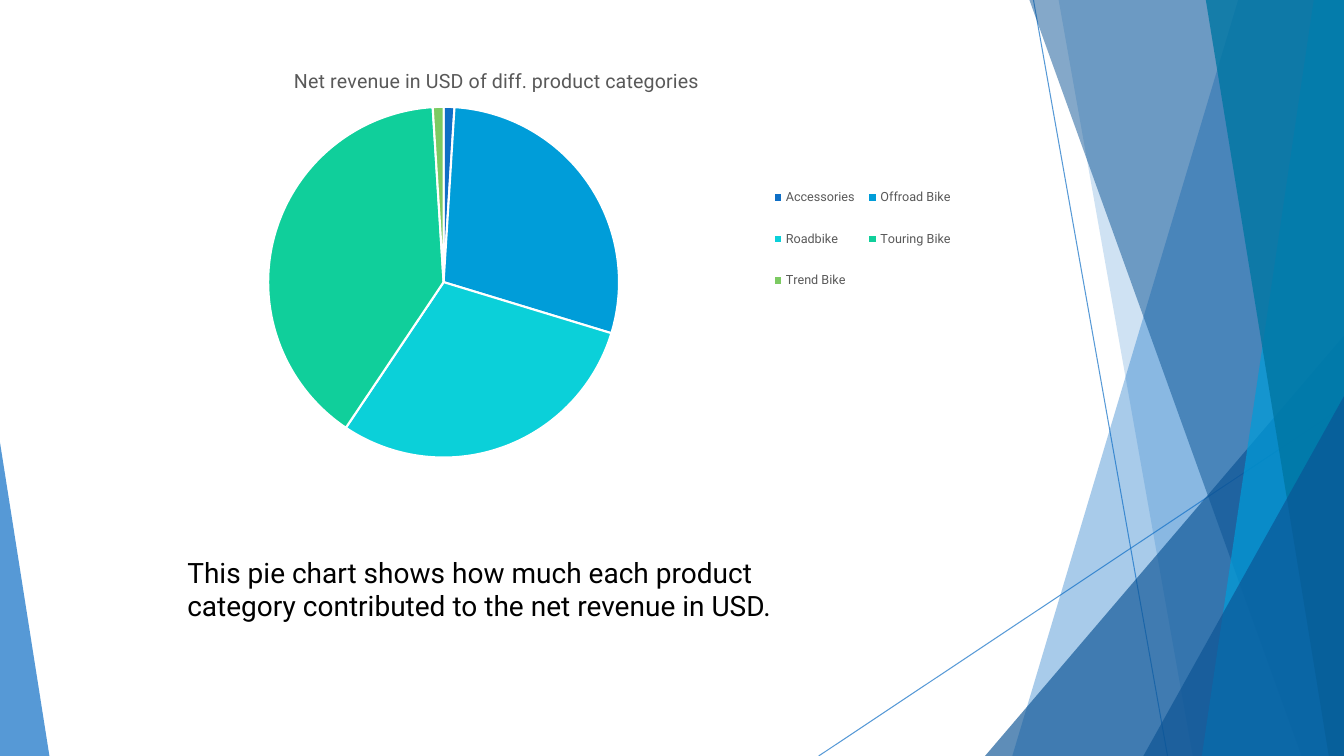
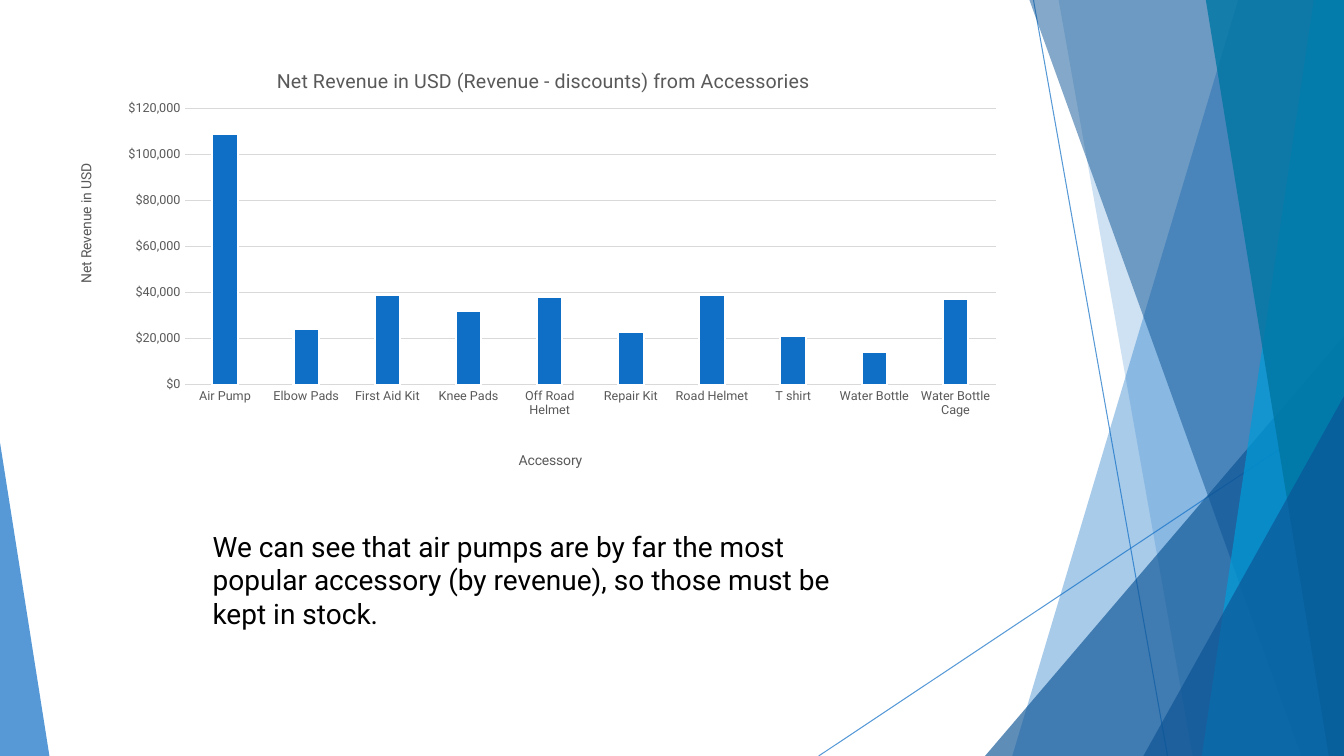
from dataclasses import dataclass

from lxml.etree import SubElement
from pptx import Presentation
from pptx.chart.data import CategoryChartData
from pptx.dml.color import RGBColor
from pptx.enum.chart import XL_CHART_TYPE, XL_LEGEND_POSITION, XL_TICK_MARK
from pptx.enum.shapes import MSO_CONNECTOR, MSO_SHAPE
from pptx.enum.text import MSO_AUTO_SIZE
from pptx.oxml import parse_xml
from pptx.oxml.ns import nsdecls, qn
from pptx.util import Inches, Pt


@dataclass(frozen=True)
class Theme:
    """Colours, font and type sizes of the deck."""

    font: str = "Roboto"
    blue: RGBColor = RGBColor.from_string("0F6FC6")
    navy: RGBColor = RGBColor.from_string("0B5394")
    sky: RGBColor = RGBColor.from_string("009DD9")
    teal: RGBColor = RGBColor.from_string("0076A3")
    cyan: RGBColor = RGBColor.from_string("0BD0D9")
    green: RGBColor = RGBColor.from_string("10CF9B")
    lime: RGBColor = RGBColor.from_string("7CCA62")
    white: RGBColor = RGBColor.from_string("FFFFFF")
    black: RGBColor = RGBColor.from_string("000000")
    gray: RGBColor = RGBColor.from_string("595959")
    grid: RGBColor = RGBColor.from_string("D9D9D9")
    body: Pt = Pt(20)
    heading: Pt = Pt(14)
    axis: Pt = Pt(10)
    label: Pt = Pt(9)
    border: Pt = Pt(1.5)
    hairline: Pt = Pt(0.75)


THEME = Theme()
WIDTH, HEIGHT = 13.33, 7.5


def set_font(font, size, color):
    """Apply the deck font at a size and colour."""
    font.name, font.size, font.bold = THEME.font, size, False
    font.color.rgb = color


def set_opacity(shape, percent):
    """Make the shape's explicit colour partly transparent."""
    for color in shape.element.iter(qn("a:srgbClr")):
        SubElement(color, qn("a:alpha")).set("val", str(percent * 1000))


def finish_facet(shape, color, opacity):
    """Fill a facet without outline or shadow."""
    shape.shadow.inherit = False
    shape.fill.solid()
    shape.fill.fore_color.rgb = color
    shape.line.fill.background()
    set_opacity(shape, opacity)


def add_ray(shapes, start, end):
    """Draw a thin translucent line."""
    ray = shapes.add_connector(MSO_CONNECTOR.STRAIGHT, *map(Inches, start + end))
    ray.line.color.rgb = THEME.blue
    ray.line.width = THEME.hairline
    SubElement(ray.element.spPr, qn("a:effectLst"))
    set_opacity(ray, 70)


def add_band(shapes, top_left, bottom_left, color, opacity):
    """Draw a slanted band that reaches the right page edge."""
    corners = [(WIDTH, 0), (WIDTH, HEIGHT), (bottom_left, HEIGHT)]
    builder = shapes.build_freeform(Inches(top_left), 0)
    builder.add_line_segments([(Inches(x), Inches(y)) for x, y in corners])
    finish_facet(builder.convert_to_shape(), color, opacity)


def add_corner(shapes, left, top, width, apex, color, opacity):
    """Draw a right triangle standing on the bottom page edge."""
    area = map(Inches, (left, top, width, HEIGHT - top))
    corner = shapes.add_shape(MSO_SHAPE.ISOSCELES_TRIANGLE, *area)
    corner.adjustments[0] = apex
    finish_facet(corner, color, opacity)


def decorate_layout(layout, page):
    """Compose the facets on a page and move them to its layout."""
    for placeholder in list(layout.placeholders):
        layout.shapes.element.remove(placeholder.element)
    facets = page.shapes.add_group_shape()
    shapes = facets.shapes
    add_ray(shapes, (10.25, 0), (11.58, HEIGHT))
    add_ray(shapes, (WIDTH, 4.03), (8.12, HEIGHT))
    add_band(shapes, 12.28, 10.04, THEME.blue, 36)
    add_band(shapes, 10.5, 11.83, THEME.blue, 20)
    add_corner(shapes, 9.77, 3.33, 3.56, 1, THEME.navy, 66)
    add_band(shapes, 10.21, 12.91, THEME.navy, 50)
    add_band(shapes, 13.03, 11.92, THEME.sky, 70)
    add_band(shapes, 11.96, 13.18, THEME.teal, 80)
    add_corner(shapes, 11.34, 3.93, 1.99, 1, THEME.navy, 66)
    add_corner(shapes, 0, 4.39, 0.49, 0, THEME.blue, 70)
    layout.shapes.element.append(facets.element)


def place_part(frame, part, index, left, top, size=None):
    """Pin a chart part at page inches, as the given child of its element."""
    values = {
        "x": (Inches(left) - frame.left) / frame.width,
        "y": (Inches(top) - frame.top) / frame.height,
    }
    if size:
        values["w"] = Inches(size[0]) / frame.width
        values["h"] = Inches(size[1]) / frame.height
    for layout in part.findall(qn("c:layout")):
        part.remove(layout)
    layout = parse_xml(f"<c:layout {nsdecls('c')}><c:manualLayout/></c:layout>")
    manual = layout[0]
    if part.tag == qn("c:plotArea"):
        SubElement(manual, qn("c:layoutTarget")).set("val", "inner")
    for name in ("xMode", "yMode"):
        SubElement(manual, qn(f"c:{name}")).set("val", "edge")
    for name, value in values.items():
        SubElement(manual, qn(f"c:{name}")).set("val", f"{value:.4f}")
    part.insert(index, layout)


def write_title(frame, title, text, size, left, top):
    """Write and place a chart or axis title."""
    title.text_frame.text = text
    para = title.text_frame.paragraphs[0]
    set_font(para.font, size, THEME.gray)
    place_part(frame, title.element, 1, left, top)


def add_chart(page, kind, area, values, heading, heading_at, plot_area):
    """Add a one-series chart with its heading and plot area in place."""
    data = CategoryChartData()
    data.categories = list(values)
    data.add_series("Series 1", list(values.values()))
    frame = page.shapes.add_chart(kind, *map(Inches, area), data)
    chart = frame.chart
    set_font(chart.font, THEME.label, THEME.gray)
    chart.has_legend = False
    chart.has_title = True
    write_title(frame, chart.chart_title, heading, THEME.heading, *heading_at)
    left, top, width, height = plot_area
    plot = chart.element.find(".//" + qn("c:plotArea"))
    place_part(frame, plot, 0, left, top, (width, height))
    return frame


def paint(part, color):
    """Fill a series or point and give it a white border."""
    part.format.fill.solid()
    part.format.fill.fore_color.rgb = color
    part.format.line.color.rgb = THEME.white
    part.format.line.width = THEME.border


def draw_line(line):
    """Format a gridline or axis line."""
    line.color.rgb = THEME.grid
    line.width = THEME.hairline


def add_caption(page, area, text):
    """Add the conclusion below a chart."""
    box = page.shapes.add_textbox(*map(Inches, area))
    box.text_frame.word_wrap = True
    box.text_frame.auto_size = MSO_AUTO_SIZE.SHAPE_TO_FIT_TEXT
    para = box.text_frame.paragraphs[0]
    para.text = text
    set_font(para.font, THEME.body, THEME.black)


def build_categories(page):
    """Show the revenue share of each product category."""
    shares = {"Accessories": 1, "Offroad Bike": 29, "Roadbike": 30,
              "Touring Bike": 40, "Trend Bike": 1}
    frame = add_chart(page, XL_CHART_TYPE.PIE, (0.2, 0.44, 9.4, 4.24), shares,
                      "Net revenue in USD of diff. product categories",
                      (2.88, 0.63), (2.66, 1.06, 3.48, 3.48))
    chart = frame.chart
    colors = (THEME.blue, THEME.sky, THEME.cyan, THEME.green, THEME.lime)
    for index, color in enumerate(colors):
        paint(chart.plots[0].series[0].points[index], color)
    chart.has_legend = True
    chart.legend.position = XL_LEGEND_POSITION.RIGHT
    chart.legend.include_in_layout = False
    set_font(chart.legend.font, THEME.label, THEME.gray)
    legend = chart.element.find(".//" + qn("c:legend"))
    place_part(frame, legend, 1, 7.58, 1.62, (1.95, 1.5))
    add_caption(page, (1.76, 5.46, 6.27, 0.77),
                "This pie chart shows how much each product category "
                "contributed to the net revenue in USD.")


def build_accessories(page):
    """Compare the revenue of the accessories."""
    revenue = {"Air Pump": 109000, "Elbow Pads": 24000, "First Aid Kit": 39000,
               "Knee Pads": 32000, "Off Road Helmet": 38000,
               "Repair Kit": 23000, "Road Helmet": 39000, "T shirt": 21000,
               "Water Bottle": 14000, "Water Bottle Cage": 37000}
    frame = add_chart(page, XL_CHART_TYPE.COLUMN_CLUSTERED,
                      (0.67, 0.45, 9.4, 4.24), revenue,
                      "Net Revenue in USD (Revenue - discounts) from Accessories",
                      (2.71, 0.64), (1.83, 1.08, 8.05, 2.77))
    chart = frame.chart
    plot = chart.plots[0]
    plot.vary_by_categories = False
    plot.gap_width = 219
    paint(plot.series[0], THEME.blue)
    names, amounts = chart.category_axis, chart.value_axis
    for axis, text, left, top in ((names, "Accessory", 5.12, 4.49),
                                  (amounts, "Net Revenue in USD", 0.74, 1.62)):
        axis.major_tick_mark = axis.minor_tick_mark = XL_TICK_MARK.NONE
        set_font(axis.tick_labels.font, THEME.label, THEME.gray)
        write_title(frame, axis.axis_title, text, THEME.axis, left, top)
    turned = amounts.axis_title.element.find(".//" + qn("a:bodyPr"))
    turned.set("rot", "-5400000")
    turned.set("vert", "horz")
    draw_line(names.format.line)
    draw_line(amounts.major_gridlines.format.line)
    amounts.format.line.fill.background()
    amounts.minimum_scale, amounts.maximum_scale = 0, 120000
    amounts.major_unit = 20000
    amounts.tick_labels.number_format = '"$"#,##0'
    amounts.tick_labels.number_format_is_linked = False
    add_caption(page, (2.01, 5.2, 6.72, 1.11),
                "We can see that air pumps are by far the most popular "
                "accessory (by revenue), so those must be kept in stock.")


def main():
    """Build and save the deck."""
    deck = Presentation()
    deck.slide_width, deck.slide_height = Inches(WIDTH), Inches(HEIGHT)
    layout = deck.slide_layouts[6]
    pages = [deck.slides.add_slide(layout) for _ in range(2)]
    decorate_layout(layout, pages[0])
    build_categories(pages[0])
    build_accessories(pages[1])
    deck.save("out.pptx")


main()
